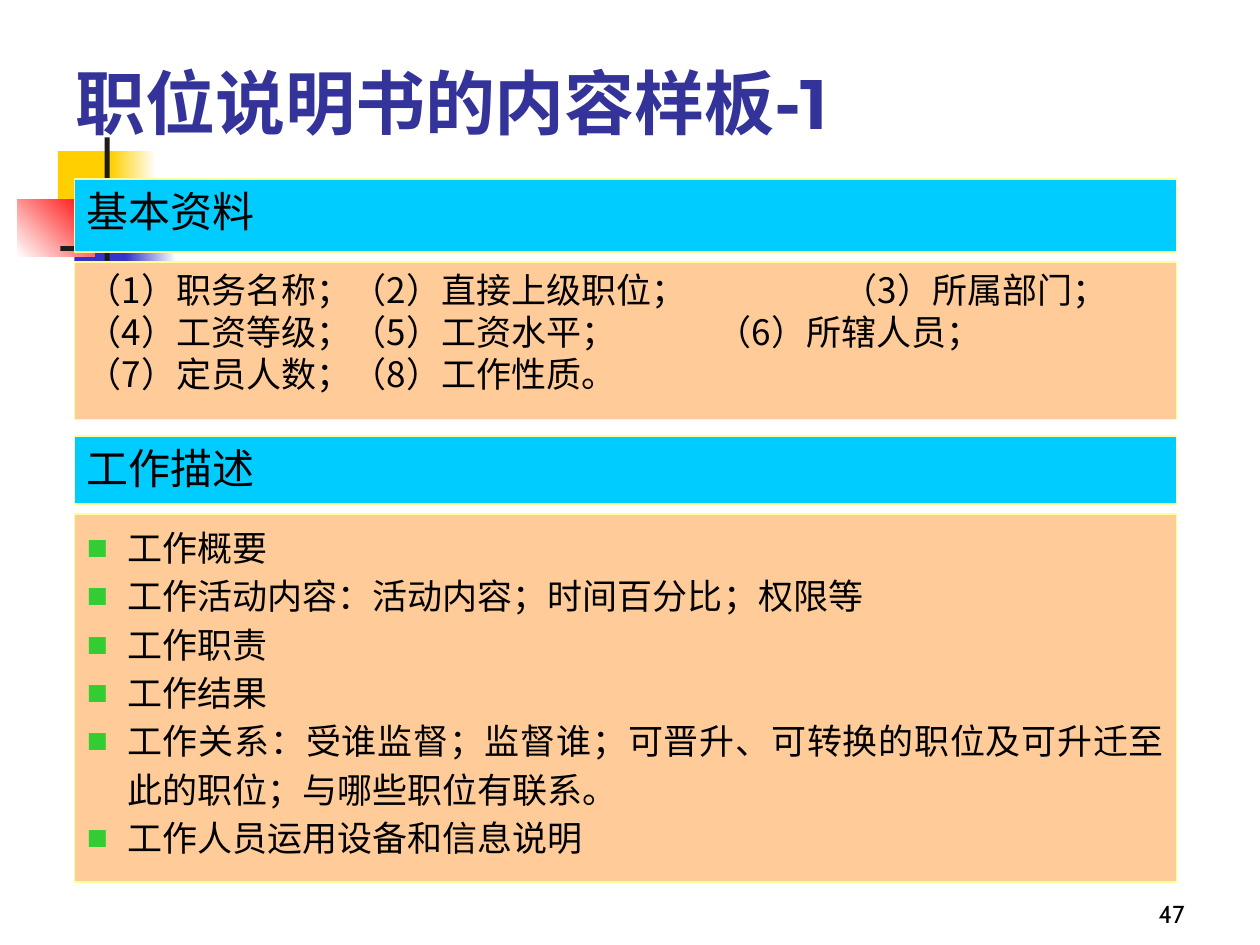
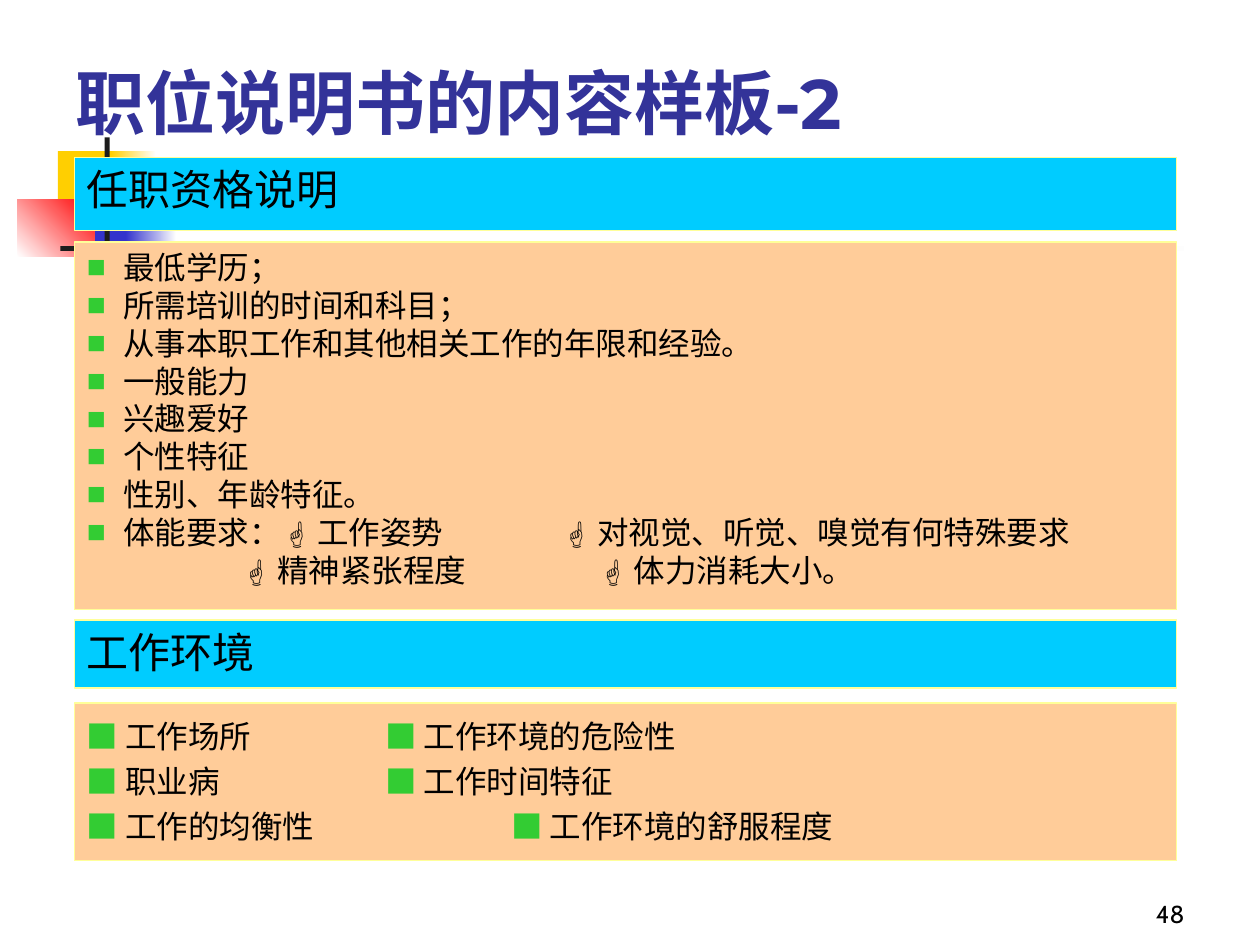
from itertools import groupby

from lxml.etree import SubElement
from pptx import Presentation
from pptx.dml.color import RGBColor
from pptx.enum.shapes import MSO_SHAPE as Shape
from pptx.enum.text import MSO_ANCHOR as Anchor, PP_ALIGN as Align
from pptx.oxml.ns import qn
from pptx.util import Inches, Pt

BLACK = RGBColor(0x00, 0x00, 0x00)
WHITE = RGBColor(0xFF, 0xFF, 0xFF)
INK = RGBColor(0x1C, 0x1C, 0x1C)
YELLOW = RGBColor(0xFF, 0xCF, 0x01)
BLUE = RGBColor(0x33, 0x33, 0xCC)
RED = RGBColor(0xFF, 0x00, 0x00)
TITLE_BLUE = RGBColor(0x33, 0x33, 0x99)
HEADING_CYAN = RGBColor(0x00, 0xCC, 0xFF)
PANEL_PEACH = RGBColor(0xFF, 0xCC, 0x99)
EDGE_YELLOW = RGBColor(0xFF, 0xFF, 0x99)
BULLET_GREEN = RGBColor(0x33, 0xCC, 0x33)

BODY_FONT = "Noto Sans CJK SC"
TITLE_FONT = "Montserrat"
NUMBER_FONT = "Cabin"
SYMBOL_FONT = "Arial"
SYMBOL_COLORS = {"■": BULLET_GREEN, "☝": BLACK}
LINE_HEIGHT = 1.2  # line pitch as a multiple of the text size

PANEL_LEFT, PANEL_WIDTH = 0.59, 8.75

# Corner ornament: left, top, width, height, start colour, end colour, angle
ORNAMENT = [
    (0.46, 1.2, 0.48, 0.52, YELLOW, None, 0),
    (0.88, 1.2, 0.36, 0.52, YELLOW, WHITE, 0),
    (0.59, 1.66, 0.46, 0.52, BLUE, None, 0),
    (1, 1.66, 0.4, 0.52, BLUE, WHITE, 0),
    (0.14, 1.58, 0.61, 0.46, WHITE, RED, 45),
    (0.83, 1.09, 0.04, 1.15, INK, None, 0),
    (0.48, 1.95, 9, 0.04, INK, WHITE, 0),
]


def add_text(frame, text, size=20, font=BODY_FONT, color=BLACK, bold=False,
             align=Align.LEFT, spacing=1, margin=0, hanging=0, bullet=False,
             tab=1):
    """Write one paragraph; tab is the step of its tab grid."""
    first = frame.paragraphs[0]
    para = frame.add_paragraph() if first.runs else first
    props = para._p.get_or_add_pPr()
    props.set("marL", str(Inches(margin)))
    props.set("indent", str(Inches(-hanging)))
    props.set("defTabSz", str(Inches(tab)))
    if bullet:
        tint = SubElement(props, qn("a:buClr"))
        SubElement(tint, qn("a:srgbClr"), val=str(BULLET_GREEN))
        SubElement(props, qn("a:buSzPct"), val="100000")
        SubElement(props, qn("a:buFont"), typeface=SYMBOL_FONT)
        SubElement(props, qn("a:buChar"), char="■")
    else:
        SubElement(props, qn("a:buNone"))
    para.alignment = align
    para.line_spacing = Pt(round(size * LINE_HEIGHT * spacing, 1))

    for symbol_color, letters in groupby(text, SYMBOL_COLORS.get):
        span = para.add_run()
        span.text = "".join(letters)
        span.font.size = Pt(size)
        span.font.bold = bold
        span.font.color.rgb = symbol_color or color
        span.font.name = SYMBOL_FONT if symbol_color else font
        east_asian = SYMBOL_FONT if span.text == "☝" else BODY_FONT
        SubElement(span._r.get_or_add_rPr(), qn("a:ea"), typeface=east_asian)


class SlideBuilder:
    """Holds the deck, the shared style and the current slide."""

    def __init__(self):
        self.deck = Presentation()
        self.deck.slide_width, self.deck.slide_height = Inches(10), Inches(7.5)
        self.page = None

    def start_page(self, title, number):
        self.page = self.deck.slides.add_slide(self.deck.slide_layouts[6])
        for left, top, width, height, start, end, angle in ORNAMENT:
            self.block(left, top, width, height, start, end, angle)
        frame = self.text_box(0.5, 0.42, 8.75, 0.77)
        add_text(frame, title, size=40, font=TITLE_FONT, color=TITLE_BLUE,
                 bold=True)
        frame = self.text_box(7.42, 6.92, 2.08, 0.5, Anchor.BOTTOM)
        add_text(frame, str(number), size=14, font=NUMBER_FONT,
                 align=Align.RIGHT)

    def block(self, left, top, width, height, color, end=None, angle=0):
        box = self.page.shapes.add_shape(
            Shape.RECTANGLE, Inches(left), Inches(top), Inches(width),
            Inches(height))
        box.shadow.inherit = False
        box.line.fill.background()
        if end is None:
            box.fill.solid()
            box.fill.fore_color.rgb = color
        else:
            box.fill.gradient()
            box.fill.gradient_angle = angle
            for stop, tone in zip(box.fill.gradient_stops, (color, end)):
                stop.color.rgb = tone
            box.fill.gradient_stops[0].position = 0
            box.fill.gradient_stops[1].position = 1
        return box

    def text_box(self, left, top, width, height, anchor=Anchor.TOP):
        frame = self.page.shapes.add_textbox(
            Inches(left), Inches(top), Inches(width),
            Inches(height)).text_frame
        frame.word_wrap = True
        frame.vertical_anchor = anchor
        return frame

    def panel(self, top, height, color=PANEL_PEACH):
        box = self.block(PANEL_LEFT, top, PANEL_WIDTH, height, color)
        box.line.color.rgb = EDGE_YELLOW
        box.line.width = Pt(0.75)
        box.text_frame.word_wrap = True
        box.text_frame.vertical_anchor = Anchor.TOP
        return box.text_frame

    def heading(self, text, top, height):
        add_text(self.panel(top, height, HEADING_CYAN), text, size=24)


def build_basics_page(builder):
    builder.start_page("职位说明书的内容样板-1", 47)

    # Basic data
    builder.heading("基本资料", 1.42, 0.58)
    frame = builder.panel(2.08, 1.25)
    for text, tab in (("（1）职务名称；（2）直接上级职位；\t（3）所属部门；", 6),
                      ("（4）工资等级；（5）工资水平；\t（6）所辖人员；", 5),
                      ("（7）定员人数；（8）工作性质。", 1)):
        add_text(frame, text, tab=tab)

    # Job description
    builder.heading("工作描述", 3.46, 0.54)
    frame = builder.panel(4.08, 2.92)
    for text in ("工作概要",
                 "工作活动内容：活动内容；时间百分比；权限等",
                 "工作职责",
                 "工作结果",
                 "工作关系：受谁监督；监督谁；可晋升、可转换的职位及可升迁至"
                 "此的职位；与哪些职位有联系。",
                 "工作人员运用设备和信息说明"):
        add_text(frame, text, align=Align.JUSTIFY, spacing=1.15,
                 margin=0.32, hanging=0.32, bullet=True)


def build_requirements_page(builder):
    builder.start_page("职位说明书的内容样板-2", 48)

    # Qualifications
    builder.heading("任职资格说明", 1.25, 0.58)
    frame = builder.panel(1.92, 2.92)
    for text in ("最低学历；",
                 "所需培训的时间和科目；",
                 "从事本职工作和其他相关工作的年限和经验。",
                 "一般能力",
                 "兴趣爱好",
                 "个性特征",
                 "性别、年龄特征。",
                 "体能要求：☝ 工作姿势\t☝ 对视觉、听觉、嗅觉有何特殊要求"):
        add_text(frame, text, size=18, margin=0.29, hanging=0.29,
                 bullet=True, tab=3.76)
    add_text(frame, "☝ 精神紧张程度\t☝ 体力消耗大小。", size=18, margin=1.22,
             tab=2.83)

    # Working environment
    builder.heading("工作环境", 4.92, 0.54)
    frame = builder.panel(5.58, 1.25)
    for left_item, right_item, tab in (
            ("工作场所", "工作环境的危险性", 2.37),
            ("职业病", "工作时间特征", 2.37),
            ("工作的均衡性", "工作环境的舒服程度", 3.37)):
        add_text(frame, f"■ {left_item}\t■ {right_item}", size=18,
                 spacing=1.2, tab=tab)


def main():
    builder = SlideBuilder()
    build_basics_page(builder)
    build_requirements_page(builder)
    builder.deck.save("out.pptx")


if __name__ == "__main__":
    main()
